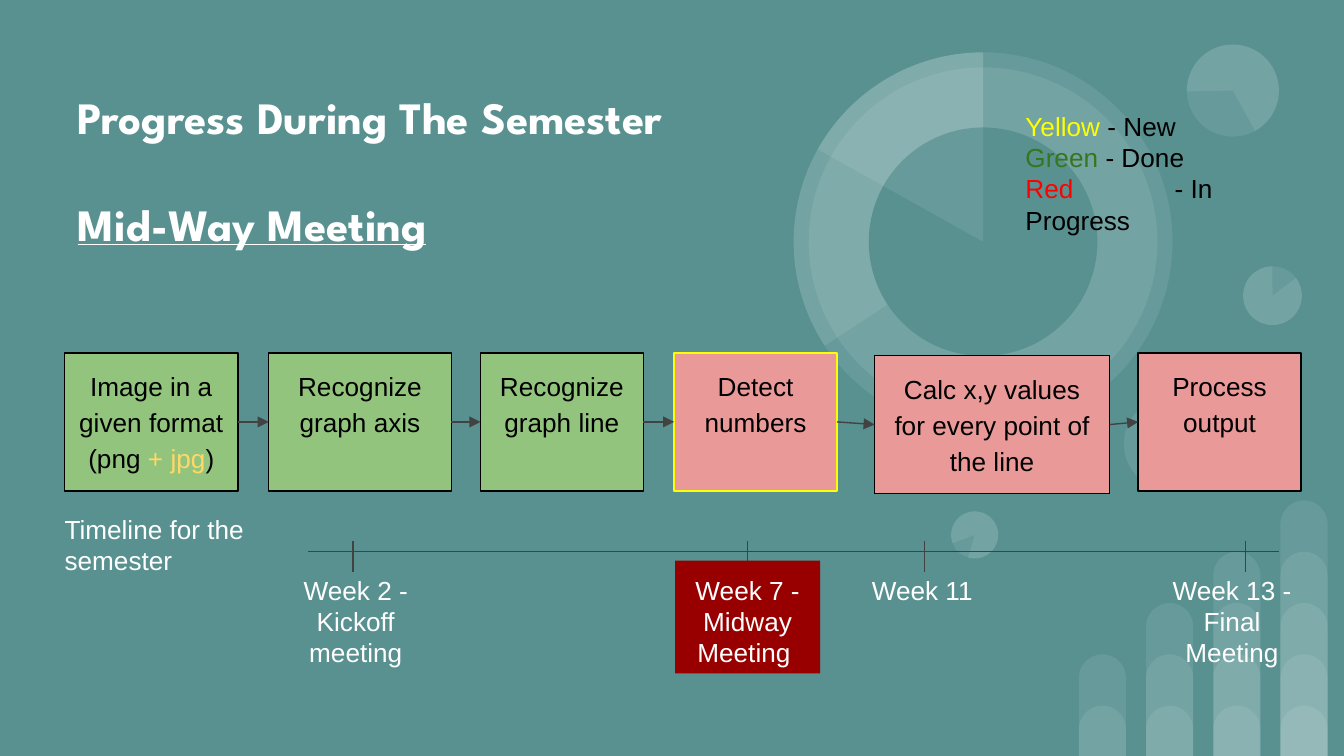
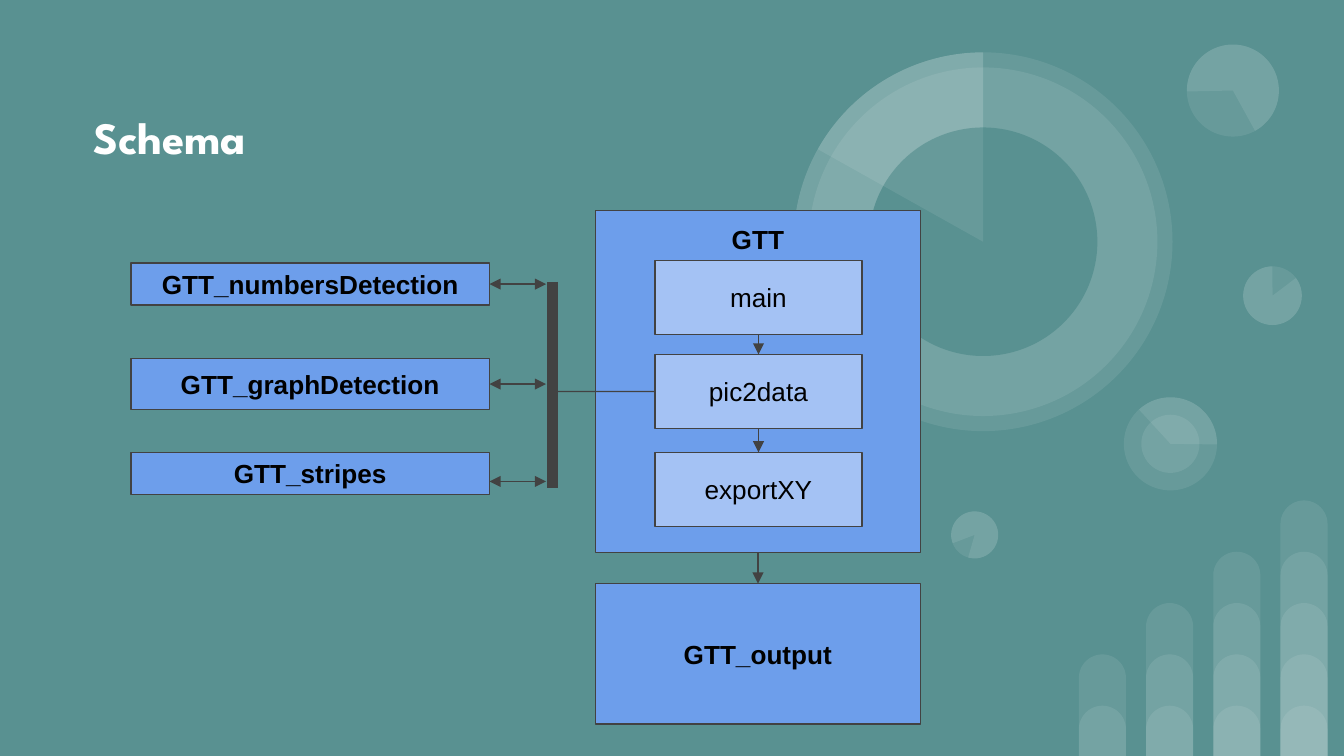
from dataclasses import dataclass

from lxml.etree import SubElement
from pptx import Presentation
from pptx.dml.color import RGBColor
from pptx.enum.shapes import MSO_CONNECTOR as Connector, MSO_SHAPE as Preset
from pptx.enum.text import MSO_ANCHOR as Anchor, MSO_AUTO_SIZE as AutoSize, PP_ALIGN as Align
from pptx.oxml.ns import qn
from pptx.util import Cm, Pt


@dataclass(frozen=True)
class Theme:
    """Colours, fonts and sizes that both slides share."""
    background: str = "599191"
    white: str = "FFFFFF"
    black: str = "000000"
    line: str = "424242"
    done: str = "93C47D"
    in_progress: str = "EA9999"
    new: str = "FFFF00"
    new_text: str = "FFD966"
    done_text: str = "38761D"
    in_progress_text: str = "FF0000"
    current_week: str = "980000"
    module: str = "6D9EEB"
    step: str = "A4C2F4"
    title_font: str = "League Spartan"
    body_font: str = "Arial"
    title_size: int = 24
    body_size: int = 14
    line_width: float = 0.75
    bus_width: float = 6
    inset: float = 0.25
    decoration_opacity: int = 9


THEME = Theme()
SLIDE_WIDTH, SLIDE_HEIGHT = 25.4, 14.29
LEFT_SIDE, RIGHT_SIDE, TOP_SIDE, BOTTOM_SIDE = 1, 3, 0, 2


def rgb(value):
    """Turn a hex string into a colour."""
    return RGBColor.from_string(value)


def write(frame, paragraphs, color=THEME.white, align=Align.LEFT, anchor=Anchor.TOP,
          bold=False, spacing=None, font=THEME.body_font, size=THEME.body_size):
    """Fill a text frame; a paragraph is a string or a list of (text, colour) runs."""
    frame.word_wrap = True
    frame.auto_size = AutoSize.NONE
    frame.vertical_anchor = anchor
    frame.margin_left = frame.margin_right = Cm(THEME.inset)
    frame.margin_top = frame.margin_bottom = Cm(THEME.inset)
    for index, content in enumerate(paragraphs):
        paragraph = frame.add_paragraph() if index else frame.paragraphs[0]
        paragraph.alignment = align
        if spacing:
            paragraph.line_spacing = spacing
        paragraph.font.name = font
        paragraph.font.size = Pt(size)
        paragraph.font.bold = bold
        if isinstance(content, str):
            paragraph.font.color.rgb = rgb(color)
            paragraph.add_run().text = content
            continue
        for text, run_color in content:
            run = paragraph.add_run()
            run.text = text
            run.font.color.rgb = rgb(run_color)


def set_tab(paragraph, position):
    """Give a paragraph one left tab stop ahead of its font settings."""
    properties = paragraph._p.get_or_add_pPr()
    tabs = SubElement(properties, qn("a:tabLst"))
    SubElement(tabs, qn("a:tab"), pos=str(Cm(position)), algn="l")
    defaults = properties.find(qn("a:defRPr"))
    if defaults is not None:
        defaults.addprevious(tabs)


def add_title(slide, paragraphs, left, top, width, height, anchor=Anchor.TOP):
    """Place and write the slide title."""
    title = slide.shapes.title
    title.left, title.top, title.width, title.height = map(Cm, (left, top, width, height))
    write(title.text_frame, paragraphs, anchor=anchor, bold=True,
          font=THEME.title_font, size=THEME.title_size)
    return title


def add_preset(slide, preset, left, top, width, height, fill, outline=None):
    """Add a flat preset shape."""
    shape = slide.shapes.add_shape(preset, *map(Cm, (left, top, width, height)))
    shape.shadow.inherit = False
    shape.fill.solid()
    shape.fill.fore_color.rgb = rgb(fill)
    if outline:
        shape.line.color.rgb = rgb(outline)
        shape.line.width = Pt(THEME.line_width)
    else:
        shape.line.fill.background()
    return shape


def add_box(slide, paragraphs, left, top, width, height, fill, outline=None,
            color=THEME.black, **style):
    """Add a rectangle with centred text."""
    box = add_preset(slide, Preset.RECTANGLE, left, top, width, height, fill, outline)
    write(box.text_frame, paragraphs, color, Align.CENTER, **style)
    return box


def add_text(slide, paragraphs, left, top, width, height, **style):
    """Add a text box."""
    box = slide.shapes.add_textbox(*map(Cm, (left, top, width, height)))
    write(box.text_frame, paragraphs, **style)
    return box


def add_line(slide, start=(0, 0), end=(0, 0), arrows=(), width=THEME.line_width):
    """Add a straight line with arrowheads at the named ends."""
    line = slide.shapes.add_connector(Connector.STRAIGHT, *map(Cm, (*start, *end)))
    line.line.color.rgb = rgb(THEME.line)
    line.line.width = Pt(width)
    outline = line.line._get_or_add_ln()
    for arrow in arrows:
        SubElement(outline, qn(f"a:{arrow}"), type="triangle")
    SubElement(line.element.spPr, qn("a:effectLst"))
    return line


def add_arrow(slide, source, source_side, target, target_side):
    """Join two boxes with an arrow."""
    arrow = add_line(slide, arrows=["tailEnd"])
    arrow.begin_connect(source, source_side)
    arrow.end_connect(target, target_side)


def add_tint(slide, preset, left, top, width, height, rotation=0, adjustments=()):
    """Add a translucent white shape."""
    shape = add_preset(slide, preset, left, top, width, height, THEME.white)
    color = shape.fill._xPr.find(qn("a:solidFill"))[0]
    SubElement(color, qn("a:alpha"), val=str(THEME.decoration_opacity * 1000))
    shape.rotation = rotation
    for index, value in enumerate(adjustments):
        shape.adjustments[index] = value
    return shape


def add_disc(slide, center_x, center_y, diameter, rotation=0, angles=None):
    """Add a translucent disc, or a pie between two angles in degrees."""
    preset = Preset.PIE if angles else Preset.OVAL
    adjustments = [angle * 0.6 for angle in angles or ()]
    return add_tint(slide, preset, center_x - diameter / 2, center_y - diameter / 2,
                    diameter, diameter, rotation, adjustments)


def draw_decoration(slide):
    """Draw the bars, small pies and ring, and return their shapes."""
    shapes = []
    for bar in range(4):
        for level in range(bar + 2):
            height = 0.95 + 0.97 * level
            shapes.append(add_tint(slide, Preset.ROUND_2_SAME_RECTANGLE, 20.39 + 1.27 * bar,
                                   SLIDE_HEIGHT - height, 0.89, height, 0, (0.5, 0)))
    pies = [(24.05, 5.59, 1.11, 0, (322.95, 270)),
            (18.42, 10.11, 0.89, 196.2, (322.95, 270)),
            (22.12, 8.39, 1.76, 90, (137.41, 270.77)),
            (23.3, 1.71, 1.74, 215.9, (322.95, 205.23))]
    for x, y, diameter, rotation, angles in pies:
        shapes.append(add_disc(slide, x, y, diameter, rotation))
        shapes.append(add_disc(slide, x, y, diameter, rotation, angles))
    shapes.append(add_disc(slide, 22.12, 8.39, 1.1))
    ring_x, ring_y, ring = 18.58, 4.57, 7.16
    hole = 4.32
    shapes += [add_disc(slide, ring_x, ring_y, ring),
               add_disc(slide, ring_x, ring_y, 6.59),
               add_disc(slide, ring_x, ring_y, ring, angles=(146.69, 270)),
               add_preset(slide, Preset.OVAL, ring_x - hole / 2, ring_y - hole / 2,
                          hole, hole, THEME.background),
               add_disc(slide, ring_x, ring_y, ring, angles=(209.24, 270))]
    return shapes


def style_layout(layout, slide):
    """Give the layout its background and decoration."""
    layout.background.fill.solid()
    layout.background.fill.fore_color.rgb = rgb(THEME.background)
    tree = layout.placeholders[0].element.getparent()
    for placeholder in list(layout.placeholders)[1:]:
        tree.remove(placeholder.element)
    for shape in draw_decoration(slide):
        tree.append(shape.element)


def draw_flow(slide):
    """Draw the chain of work steps."""
    image_format = [("Image in a given format (png ", THEME.black),
                    ("+ jpg", THEME.new_text), (")", THEME.black)]
    steps = [(image_format, 1.22, 6.67, 3.28, THEME.done, THEME.black),
             ("Recognize graph axis", 5.08, 6.67, 3.45, THEME.done, THEME.black),
             ("Recognize graph line", 9.08, 6.67, 3.08, THEME.done, THEME.black),
             ("Detect numbers", 12.74, 6.67, 3.08, THEME.in_progress, THEME.new),
             ("Calc x,y values for every point of the line", 16.53, 6.72, 4.44,
              THEME.in_progress, THEME.black),
             ("Process output", 21.51, 6.67, 3.08, THEME.in_progress, THEME.black)]
    boxes = [add_box(slide, [text], left, top, width, 2.61, fill, outline, spacing=1.15)
             for text, left, top, width, fill, outline in steps]
    for source, target in zip(boxes, boxes[1:]):
        add_arrow(slide, source, RIGHT_SIDE, target, LEFT_SIDE)


def draw_timeline(slide):
    """Draw the semester axis, its ticks and week labels."""
    add_text(slide, ["Timeline for the semester"], 0.97, 9.45, 3.99, 2.39)
    add_line(slide, (5.83, 10.43), (24.17, 10.43))
    for x in (6.67, 14.13, 17.47, 23.54):
        add_line(slide, (x, 10.22), (x, 10.81))
    top, height = 10.6, 2.13
    add_text(slide, ["Week 2 - Kickoff meeting"], 5, top, 3.45, 1.5, align=Align.CENTER)
    add_box(slide, ["Week 7 -", "Midway Meeting "], 12.76, top, 2.74, height,
            THEME.current_week, color=THEME.white)
    add_text(slide, ["Week 11 "], 16.13, top, 2.74, height, align=Align.CENTER)
    add_text(slide, ["Week 13 -", "Final Meeting"], 21.56, top, 3.45, height,
             align=Align.CENTER)


def draw_legend(slide):
    """Explain the status colours."""
    entries = [("Yellow ", THEME.new, "- New"),
               ("Green ", THEME.done_text, "- Done"),
               ("Red", THEME.in_progress_text, "\t- In Progress")]
    legend = add_text(slide, [[(name, color), (meaning, THEME.black)]
                              for name, color, meaning in entries], 19.13, 1.83, 5.03, 2.62)
    set_tab(legend.text_frame.paragraphs[-1], 2.82)


def build_progress(slide):
    """Build the progress slide."""
    title = add_title(slide, ["Progress During The Semester", "Mid-Way Meeting"],
                      1.22, 1.45, 14.94, 3.35)
    meeting = title.text_frame.paragraphs[1]
    meeting.space_before = Pt(28.5)
    meeting.font.underline = True
    draw_flow(slide)
    draw_timeline(slide)
    draw_legend(slide)


def build_schema(slide):
    """Build the slide with the program's modules."""
    add_title(slide, ["Schema"], 1.52, 1.19, 11.96, 2.79, Anchor.MIDDLE)
    core = add_box(slide, ["GTT"], 11.25, 3.98, 6.15, 6.47, THEME.module, THEME.line, bold=True)
    output = add_box(slide, ["GTT_output"], 11.25, 11.03, 6.15, 2.66, THEME.module, THEME.line,
                     anchor=Anchor.MIDDLE, bold=True)
    steps = [add_box(slide, [name], 12.38, top, 3.91, 1.4, THEME.step, THEME.line,
                     anchor=Anchor.MIDDLE)
             for name, top in (("main", 4.92), ("pic2data", 6.7), ("exportXY", 8.55))]
    for source, target in [*zip(steps, steps[1:]), (core, output)]:
        add_arrow(slide, source, BOTTOM_SIDE, target, TOP_SIDE)
    bus_x = 10.44
    add_line(slide, (12.38, 7.4), (bus_x, 7.4)).begin_connect(steps[1], LEFT_SIDE)
    add_line(slide, (bus_x, 5.33), (bus_x, 9.22), width=THEME.bus_width)
    modules = [("GTT_numbersDetection", 4.97, 0.8, 5.37),
               ("GTT_graphDetection", 6.78, 0.96, 7.26),
               ("GTT_stripes", 8.55, 0.8, 9.1)]
    left, width = 2.48, 6.77
    for name, top, height, arrow_y in modules:
        module = add_box(slide, [name], left, top, width, height, THEME.module, THEME.line,
                         anchor=Anchor.MIDDLE, bold=True)
        arrow = add_line(slide, (10.32, arrow_y), (left + width, arrow_y),
                         ["headEnd", "tailEnd"])
        if abs(top + height / 2 - arrow_y) < 0.05:
            arrow.end_connect(module, RIGHT_SIDE)


def main():
    """Build and save the presentation."""
    presentation = Presentation()
    presentation.slide_width, presentation.slide_height = Cm(SLIDE_WIDTH), Cm(SLIDE_HEIGHT)
    layout = presentation.slide_layouts[5]
    progress, schema = [presentation.slides.add_slide(layout) for _ in range(2)]
    style_layout(layout, progress)
    build_progress(progress)
    build_schema(schema)
    presentation.save("out.pptx")


if __name__ == "__main__":
    main()
